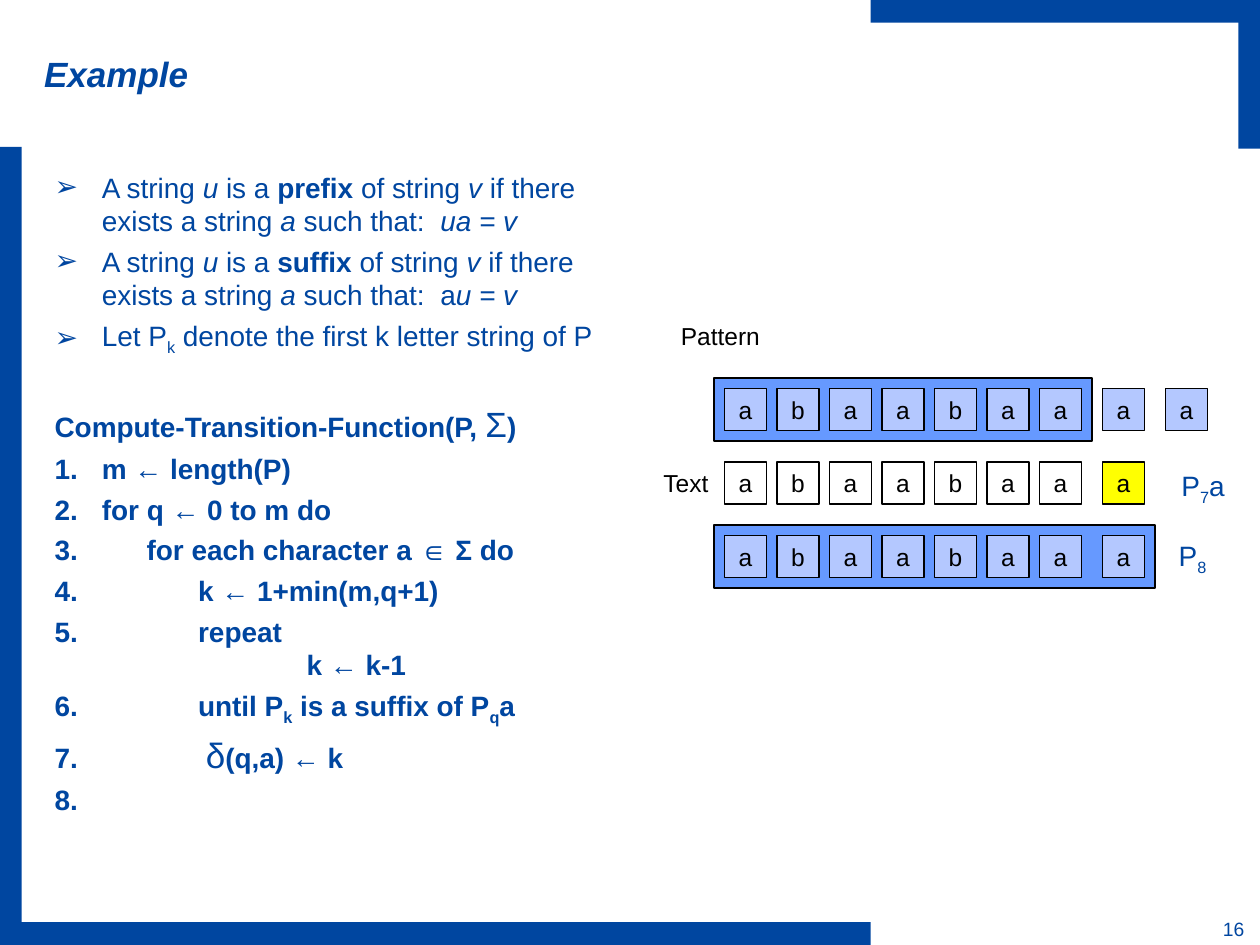
from lxml.etree import SubElement
from pptx import Presentation
from pptx.dml.color import RGBColor
from pptx.enum.shapes import MSO_SHAPE
from pptx.enum.text import MSO_ANCHOR, MSO_AUTO_SIZE, PP_ALIGN
from pptx.oxml.ns import qn
from pptx.util import Pt

BLUE = RGBColor(0x00, 0x46, 0xA0)
FRAME_BLUE = RGBColor(0x66, 0x99, 0xFF)
CELL_BLUE = RGBColor(0xB4, 0xC8, 0xFF)
YELLOW = RGBColor(0xFF, 0xFF, 0x01)
WHITE = RGBColor(0xFF, 0xFF, 0xFF)
BLACK = RGBColor(0x00, 0x00, 0x00)

ITALIC = {"italic": True}
BOLD = {"bold": True}
GREEK = {"size": Pt(20), "bold": False}
SUB = {"subscript": True}

DEFINITIONS = [
    ["A string ", ("u", ITALIC), " is a ", ("prefix", BOLD), " of string ", ("v", ITALIC),
     " if there exists a string ", ("a", ITALIC), " such that:\t ", ("ua = v", ITALIC)],
    ["A string ", ("u", ITALIC), " is a ", ("suffix", BOLD), " of string ", ("v", ITALIC),
     " if there exists a string ", ("a", ITALIC), " such that:\t a", ("u = v", ITALIC)],
    ["Let P", ("k", SUB), " denote the first k letter string of P"],
]
ALGORITHM_NAME = ["Compute-Transition-Function(P, ", ("Σ", GREEK), ")"]
ALGORITHM_STEPS = [
    ["m ← length(P)"],
    ["for q ← 0 to m do"],
    [" \tfor each character a ∈ Σ do"],
    [" \t\tk ← 1+min(m,q+1)"],
    [" \t\trepeat\n \t\t\tk ← k-1"],
    [" \t\tuntil P", ("k", SUB), " is a suffix of P", ("q", SUB), "a"],
    [" \t\t ", ("δ", GREEK), "(q,a) ← k"],
    ["\t"],
]

LETTERS = "abaabaaa"
CELL, CELL_STEP, CELL_LEFT = 24, 30, 414
LAST_GAP = 6  # extra space before each letter after the seventh
FRAME_MARGIN = 6
PATTERN_TOP, TEXT_TOP, PREFIX_TOP = 222, 264, 306


def set_values(target, values):
    for attribute, value in values.items():
        setattr(target, attribute, value)


def cell_left(index):
    return CELL_LEFT + CELL_STEP * index + LAST_GAP * max(0, index - 6)


class SlideBuilder:
    font_name = "Arial"
    body_tabs = [52.6, 82] + [72 * inch for inch in range(2, 8)]
    hanging_indent = 27

    def __init__(self, slide):
        self.slide = slide

    def add_runs(self, paragraph, runs, size, color, **base):
        """Fill a paragraph from strings and (string, format) pairs; a newline breaks the line."""
        for item in runs:
            words, extra = (item, {}) if isinstance(item, str) else item
            style = {"name": self.font_name, "size": Pt(size), **base, **extra}
            subscript = style.pop("subscript", False)
            for number, line in enumerate(words.split("\n")):
                if number:
                    paragraph.add_line_break()
                run = paragraph.add_run()
                run.text = line
                set_values(run.font, style)
                run.font.color.rgb = color
                if subscript:
                    run.font._element.set("baseline", "-25000")

    def box(self, left, top, width, height, fill, outlined=True):
        box = self.slide.shapes.add_shape(
            MSO_SHAPE.RECTANGLE, Pt(left), Pt(top), Pt(width), Pt(height))
        box.shadow.inherit = False
        box.fill.solid()
        box.fill.fore_color.rgb = fill
        if outlined:
            box.line.color.rgb = BLACK
            box.line.width = Pt(0.75)
        else:
            box.line.fill.background()
        return box

    def letter_row(self, letters, top, fill, last_fill=None):
        for index, letter in enumerate(letters):
            is_last = index == len(letters) - 1
            color = last_fill if last_fill and is_last else fill
            frame = self.box(cell_left(index), top, CELL, CELL, color).text_frame
            set_values(frame, {"word_wrap": False, "vertical_anchor": MSO_ANCHOR.MIDDLE})
            frame.paragraphs[0].alignment = PP_ALIGN.CENTER
            self.add_runs(frame.paragraphs[0], [letter], 14, BLACK)

    def prefix_frame(self, letter_count, row_top):
        width = cell_left(letter_count - 1) + CELL - CELL_LEFT + 2 * FRAME_MARGIN
        self.box(CELL_LEFT - FRAME_MARGIN, row_top - FRAME_MARGIN,
                 width, CELL + 2 * FRAME_MARGIN, FRAME_BLUE)

    def label(self, left, top, width, height, runs, size, color, align=PP_ALIGN.LEFT):
        frame = self.slide.shapes.add_textbox(
            Pt(left), Pt(top), Pt(width), Pt(height)).text_frame
        frame.word_wrap = False
        frame.paragraphs[0].alignment = align
        self.add_runs(frame.paragraphs[0], runs, size, color)

    def place(self, placeholder, left, top, width, height, **frame_format):
        set_values(placeholder, {"left": Pt(left), "top": Pt(top),
                                 "width": Pt(width), "height": Pt(height)})
        set_values(placeholder.text_frame, {"word_wrap": True, "auto_size": MSO_AUTO_SIZE.NONE,
                                            **frame_format})
        return placeholder.text_frame

    def title(self, words):
        frame = self.place(self.slide.shapes.title, 0, 0, 493, 84,
                           margin_left=Pt(25.2), vertical_anchor=MSO_ANCHOR.MIDDLE)
        frame.paragraphs[0].alignment = PP_ALIGN.LEFT
        self.add_runs(frame.paragraphs[0], [words], 20, BLUE, bold=True, italic=True)

    def list_item(self, paragraph, runs, bullet=None, space_before=4, **base):
        """Add a hanging item; bullet is a (tag, attributes) pair or None."""
        paragraph.space_before = Pt(space_before)
        properties = paragraph._p.get_or_add_pPr()
        properties.set("marL", str(Pt(self.hanging_indent)))
        properties.set("indent", str(-Pt(self.hanging_indent)))
        if bullet:
            color = SubElement(properties, qn("a:buClr"))
            SubElement(color, qn("a:srgbClr"), val=str(BLUE))
        tag, attributes = bullet or ("a:buNone", {})
        SubElement(properties, qn(tag), attributes)
        tabs = SubElement(properties, qn("a:tabLst"))
        for position in self.body_tabs:
            SubElement(tabs, qn("a:tab"), pos=str(Pt(position)), algn="l")
        self.add_runs(paragraph, runs, 16, BLUE, **base)

    def body(self):
        frame = self.place(self.slide.placeholders[1], 24, 93.6, 332.6, 419)
        arrow = ("a:buChar", {"char": "➢"})
        number = ("a:buAutoNum", {"type": "arabicPeriod"})
        for index, definition in enumerate(DEFINITIONS):
            paragraph = frame.add_paragraph() if index else frame.paragraphs[0]
            self.list_item(paragraph, definition, arrow)
        self.list_item(frame.add_paragraph(), ALGORITHM_NAME, space_before=26.4, bold=True)
        for step in ALGORITHM_STEPS:
            self.list_item(frame.add_paragraph(), step, number, bold=True)


def main():
    presentation = Presentation()
    presentation.slide_width, presentation.slide_height = Pt(720), Pt(540)
    builder = SlideBuilder(presentation.slides.add_slide(presentation.slide_layouts[1]))

    for corner_bar in [(0, 527, 497.5, 13), (0, 84, 12.4, 456),
                       (497.5, 0, 222.5, 13), (707.6, 0, 12.4, 85)]:
        builder.box(*corner_bar, BLUE, outlined=False)
    builder.label(672.5, 520.5, 65, 21, ["16"], 11, BLUE, PP_ALIGN.CENTER)

    builder.title("Example")
    builder.body()

    builder.prefix_frame(7, PATTERN_TOP)
    builder.letter_row(LETTERS + "a", PATTERN_TOP, CELL_BLUE)
    builder.letter_row(LETTERS, TEXT_TOP, WHITE, last_fill=YELLOW)
    builder.prefix_frame(8, PREFIX_TOP)
    builder.letter_row(LETTERS, PREFIX_TOP, CELL_BLUE)

    builder.label(382, 180, 64, 24.5, ["Pattern"], 14, BLACK)
    builder.label(372, 264, 64, 24.5, ["Text"], 14, BLACK)
    builder.label(668, 264, 39, 29.5, ["P", ("7", SUB), "a"], 16, BLUE)
    builder.label(666.5, 304, 30, 29.5, ["P", ("8", SUB)], 16, BLUE)

    presentation.save("out.pptx")


if __name__ == "__main__":
    main()
